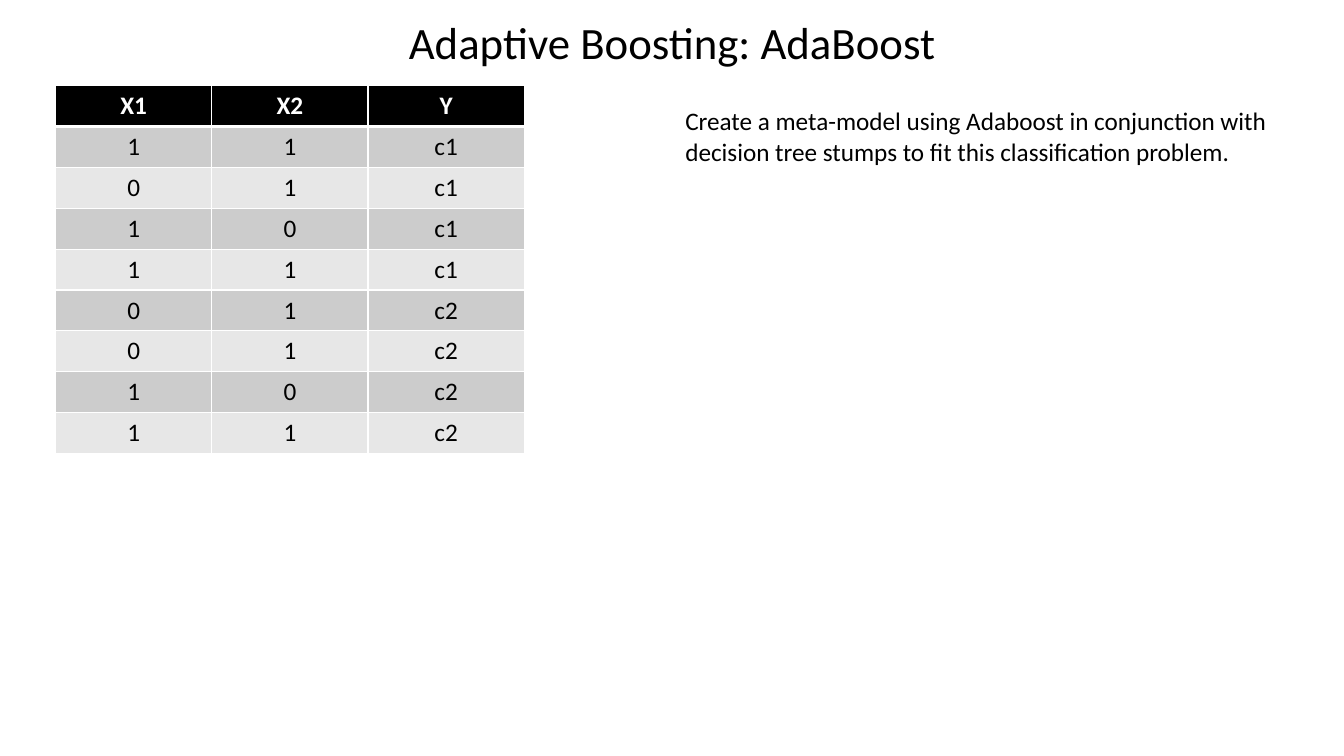
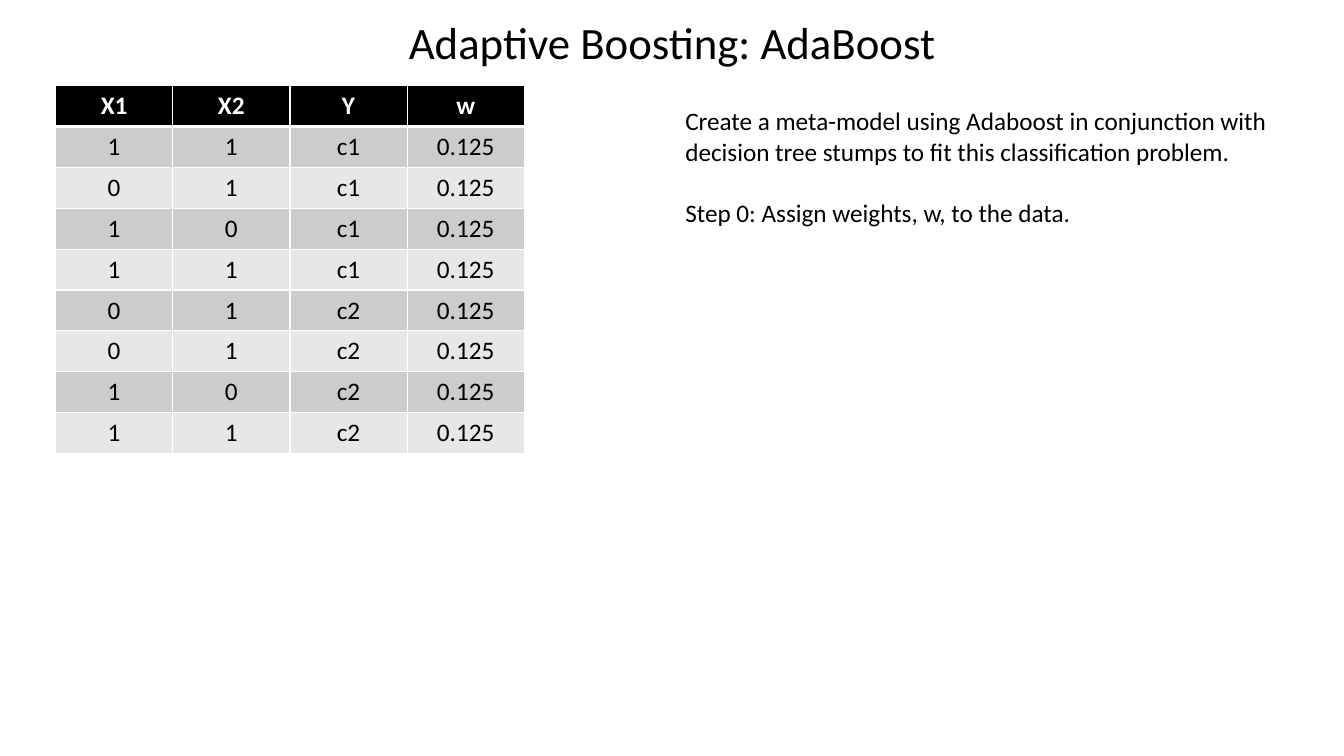
from dataclasses import dataclass

from lxml import etree
from pptx import Presentation
from pptx import util as u
from pptx.dml.color import RGBColor
from pptx.enum import text
from pptx.oxml import ns


@dataclass(frozen=True)
class Theme:
    """Hold the colours, font and type sizes shared by the slides."""

    font: str = "Calibri"
    ink: str = "000000"
    paper: str = "FFFFFF"
    bands: tuple = ("CCCCCC", "E7E7E7")
    title_size: float = 32
    body_size: float = 18
    paragraph_gap: float = 22
    thin_rule: float = 1
    header_rule: float = 3


class Deck:
    """Build slides in one style, with lengths in percent of the slide."""

    def __init__(self, theme):
        """Start an empty widescreen presentation."""
        self.theme = theme
        self.show = Presentation()
        self.show.slide_width = u.Inches(13.333)
        self.show.slide_height = u.Inches(7.5)
        self.slide = None

    def across(self, share):
        """Return a share of the slide's width."""
        return u.Emu(round(self.show.slide_width * share / 100))

    def down(self, share):
        """Return a share of the slide's height."""
        return u.Emu(round(self.show.slide_height * share / 100))

    def box(self, left, top, width, height):
        """Turn four shares into a position and a size."""
        return self.across(left), self.down(top), self.across(width), self.down(height)

    def style(self, paragraph, size, color, bold=False):
        """Format every run of a paragraph."""
        for run in paragraph.runs:
            run.font.name = self.theme.font
            run.font.size = u.Pt(size)
            run.font.bold = bold
            run.font.color.rgb = RGBColor.from_string(color)

    def start(self, heading):
        """Add a slide with its centred title."""
        self.slide = self.show.slides.add_slide(self.show.slide_layouts[5])
        title = self.slide.shapes.title
        title.left, title.top, title.width, title.height = self.box(6.9, 0.53, 86.25, 10.8)
        title.text_frame.text = heading
        title.text_frame.vertical_anchor = text.MSO_ANCHOR.MIDDLE
        paragraph = title.text_frame.paragraphs[0]
        paragraph.alignment = text.PP_ALIGN.CENTER
        paragraph.line_spacing = 0.9
        self.style(paragraph, self.theme.title_size, self.theme.ink)

    def rule(self, cell, edge, points):
        """Draw one border of a cell."""
        properties = cell._tc.get_or_add_tcPr()
        line = etree.SubElement(properties, ns.qn(f"a:ln{edge}"), w=str(u.Pt(points)))
        fill = etree.SubElement(line, ns.qn("a:solidFill"))
        etree.SubElement(fill, ns.qn("a:srgbClr"), val=self.theme.paper)

    def cell(self, cell, value, row):
        """Fill one table cell according to its row."""
        theme = self.theme
        header = row == 0
        thick_edge = {0: "B", 1: "T"}.get(row)
        for edge in "LRTB":
            self.rule(cell, edge, theme.header_rule if edge == thick_edge else theme.thin_rule)
        cell.fill.solid()
        fill = theme.ink if header else theme.bands[(row - 1) % 2]
        cell.fill.fore_color.rgb = RGBColor.from_string(fill)
        cell.text_frame.text = value
        paragraph = cell.text_frame.paragraphs[0]
        paragraph.alignment = text.PP_ALIGN.CENTER
        self.style(paragraph, theme.body_size, theme.paper if header else theme.ink, header)

    def table(self, records, left, top, width, height):
        """Add a banded table with equal columns and rows."""
        place = self.box(left, top, width, height)
        grid = self.slide.shapes.add_table(len(records), len(records[0]), *place).table
        for row, record in enumerate(records):
            for column, value in enumerate(record):
                self.cell(grid.cell(row, column), value, row)

    def note(self, paragraphs, left, top, width, height):
        """Add wrapped body text with one line between paragraphs."""
        frame = self.slide.shapes.add_textbox(*self.box(left, top, width, height)).text_frame
        frame.word_wrap = True
        frame.auto_size = text.MSO_AUTO_SIZE.SHAPE_TO_FIT_TEXT
        frame.text = "\n".join(paragraphs)
        for index, paragraph in enumerate(frame.paragraphs):
            paragraph.space_before = u.Pt(self.theme.paragraph_gap if index else 0)
            self.style(paragraph, self.theme.body_size, self.theme.ink)


HEADING = "Adaptive Boosting: AdaBoost"
TASK = (
    "Create a meta-model using Adaboost in conjunction with "
    "decision tree stumps to fit this classification problem."
)
STEP = "Step 0: Assign weights, w, to the data."
SAMPLES = [
    ("X1", "X2", "Y"),
    ("1", "1", "c1"),
    ("0", "1", "c1"),
    ("1", "0", "c1"),
    ("1", "1", "c1"),
    ("0", "1", "c2"),
    ("0", "1", "c2"),
    ("1", "0", "c2"),
    ("1", "1", "c2"),
]


def main():
    """Build the task slide and the weighted-data slide."""
    deck = Deck(Theme())
    weights = ["w"] + ["0.125"] * (len(SAMPLES) - 1)
    weighted = [(*sample, weight) for sample, weight in zip(SAMPLES, weights)]
    for records, paragraphs, height in (
        (SAMPLES, [TASK], 9.47),
        (weighted, [TASK, STEP], 17.47),
    ):
        deck.start(HEADING)
        deck.table(records, 4.13, 11.33, 34.88, 48.67)
        deck.note(paragraphs, 50.25, 13.33, 46.05, height)
    deck.show.save("out.pptx")


if __name__ == "__main__":
    main()
